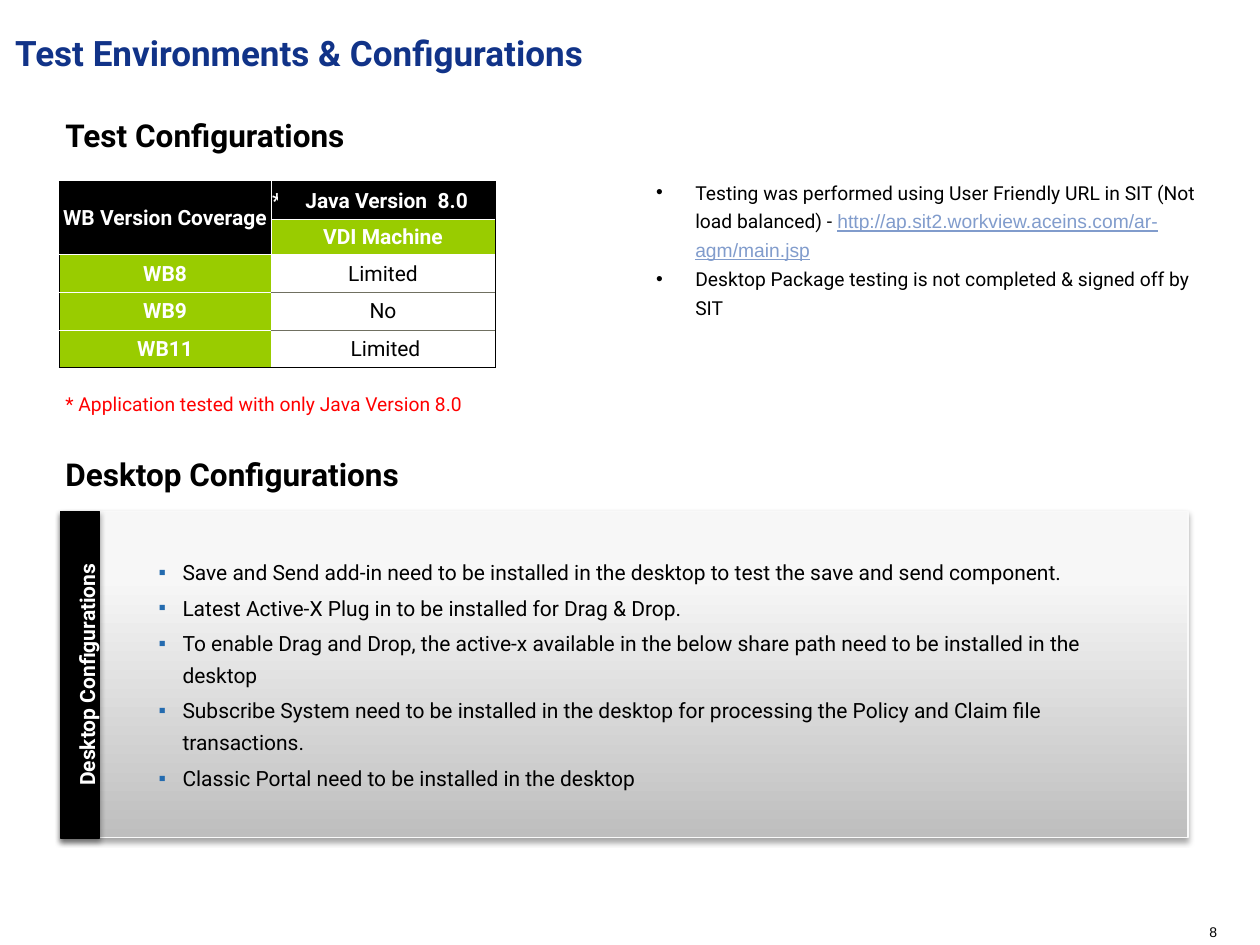
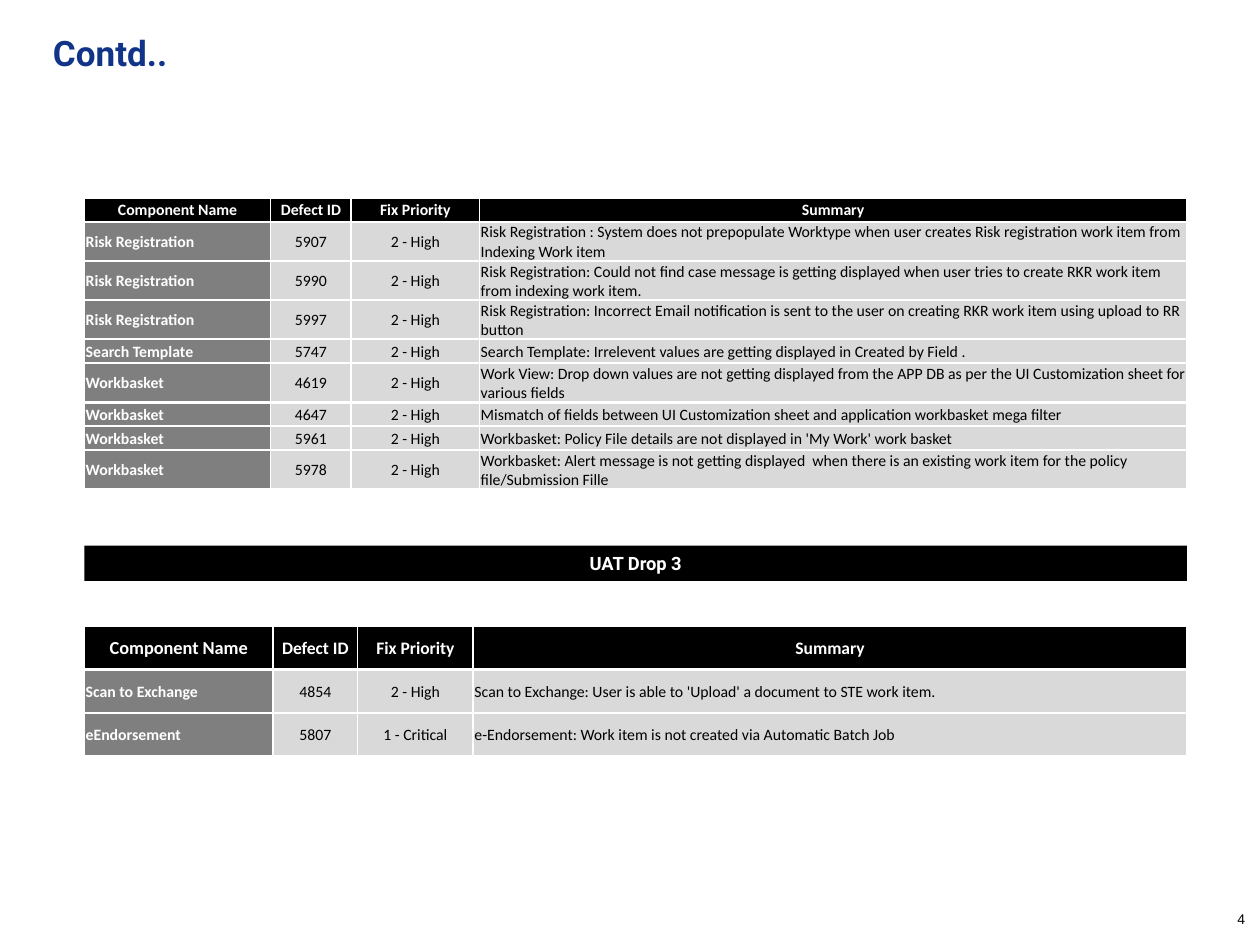
from lxml import etree
from pptx import Presentation
from pptx.dml.color import RGBColor
from pptx.enum.shapes import MSO_SHAPE
from pptx.enum.text import MSO_ANCHOR, MSO_AUTO_SIZE, PP_ALIGN
from pptx.oxml import parse_xml
from pptx.oxml.ns import qn
from pptx.util import Inches, Pt

RECTANGLE = MSO_SHAPE.RECTANGLE
TOP, MIDDLE = MSO_ANCHOR.TOP, MSO_ANCHOR.MIDDLE
LEFT, CENTER = PP_ALIGN.LEFT, PP_ALIGN.CENTER
NO_AUTOFIT = MSO_AUTO_SIZE.NONE
TITLE_ONLY = 5

# Boxes are (left, top, width, height) on a grid of 100 columns by 75 rows.
SLIDE_WIDTH, SLIDE_HEIGHT = Inches(10), Inches(7.5)
COLUMN, ROW = SLIDE_WIDTH / 100, SLIDE_HEIGHT / 75

COLORS = {
    "title": "113388", "black": "000000", "white": "FFFFFF", "green": "99CC00",
    "rule": "707061", "note": "FF0000", "link": "819CCC", "bullet": "246BAF",
    "name": "7F7F7F", "value": "D9D9D9", "panel_edge": "F9F9F9",
}
PANEL_STOPS = [(0, "BEBEBE"), (80, "F7F7F7"), (100, "F8F8F8")]
DRAWING = "http://schemas.openxmlformats.org/drawingml/2006/main"

BROWSER_ROWS = [
    ["WB Version Coverage", "*", "Java Version  8.0"],
    ["", "VDI Machine", ""],
    ["WB8", "Limited", ""],
    ["WB9", "No", ""],
    ["WB11", "\u00a0Limited".replace("\u00a0", " "), ""],
]
TEST_NOTES = [
    [("Testing was performed using User Friendly URL in SIT (Not load balanced) - ", {}),
     ("http://ap.sit2.workview.aceins.com/ar-agm/main.jsp",
      {"font": "Arial", "color": "link", "underline": True})],
    "Desktop Package testing is not completed & signed off by SIT",
]
DESKTOP_NOTES = [
    "Save and Send add-in need to be installed in the desktop to test the save and send component.",
    "Latest Active-X Plug in to be installed for Drag & Drop.",
    "To enable Drag and Drop, the active-x available in the below share path need to be "
    "installed in the desktop",
    "Subscribe System need to be installed in the desktop for processing the Policy and Claim "
    "file transactions.",
    "Classic Portal need to be installed in the desktop",
]
DEFECT_HEADER = ["Component Name", "Defect ID", "Fix Priority", "Summary"]
DROP_2_DEFECTS = [
    ["Risk Registration", "5907", "2 - High",
     "Risk Registration : System does not prepopulate Worktype when user creates Risk "
     "registration work item from Indexing Work item"],
    ["Risk Registration", "5990", "2 - High",
     "Risk Registration: Could not find case message is getting displayed when user tries to "
     "create RKR work item from indexing work item."],
    ["Risk Registration", "5997", "2 - High",
     "Risk Registration: Incorrect Email notification is sent to the user on creating RKR work "
     "item using upload to RR button"],
    ["Search Template", "5747", "2 - High",
     "Search Template: Irrelevent values are getting displayed in Created by Field ."],
    ["Workbasket", "4619", "2 - High",
     "Work View: Drop down values are not getting displayed from the APP DB as per the UI "
     "Customization sheet for various fields"],
    ["Workbasket", "4647", "2 - High",
     "Mismatch of fields between UI Customization sheet and application workbasket mega filter"],
    ["Workbasket", "5961", "2 - High",
     "Workbasket: Policy File details are not displayed in 'My Work' work basket"],
    ["Workbasket", "5978", "2 - High",
     "Workbasket: Alert message is not getting displayed  when there is an existing work item "
     "for the policy file/Submission Fille"],
]
DROP_3_DEFECTS = [
    ["Scan to Exchange", "4854", "2 - High",
     "Scan to Exchange: User is able to 'Upload' a document to STE work item."],
    ["eEndorsement", "5807", "1 - Critical",
     "e-Endorsement: Work item is not created via Automatic Batch Job"],
]


def rgb(name):
    return RGBColor.from_string(COLORS[name])


def to_lengths(box):
    left, top, width, height = box
    return [int(value) for value in (left * COLUMN, top * ROW, width * COLUMN, height * ROW)]


def add_bullet(paragraph, character, color, indent):
    properties = paragraph._p.get_or_add_pPr()
    properties.set("marL", str(Inches(indent)))
    properties.set("indent", str(-Inches(indent)))
    bullet_color = etree.SubElement(properties, qn("a:buClr"))
    etree.SubElement(bullet_color, qn("a:srgbClr"), val=COLORS[color])
    etree.SubElement(properties, qn("a:buFont"), typeface="Arial")
    etree.SubElement(properties, qn("a:buChar"), char=character)


def write_text(frame, paragraphs, *, size, font="Roboto", color="black", bold=False,
               underline=False, align=LEFT, line_spacing=None, space_before=0, bullet=None):
    """Fill a frame; a paragraph is a string or a list of (text, run format) pairs."""
    for index, content in enumerate(paragraphs):
        paragraph = frame.add_paragraph() if index else frame.paragraphs[0]
        paragraph.alignment = align
        if line_spacing:
            paragraph.line_spacing = line_spacing
        if index and space_before:
            paragraph.space_before = Pt(space_before)
        if bullet:
            add_bullet(paragraph, *bullet)
        runs = [(content, {})] if isinstance(content, str) else content
        for text, changes in runs:
            run = paragraph.add_run()
            run.text = text
            run.font.size = Pt(size)
            run.font.bold = bold
            run.font.name = changes.get("font", font)
            run.font.underline = changes.get("underline", underline)
            run.font.color.rgb = rgb(changes.get("color", color))


def add_text(slide, box, paragraphs, **text_format):
    frame = slide.shapes.add_textbox(*to_lengths(box)).text_frame
    frame.word_wrap = True
    write_text(frame, paragraphs, **text_format)


def add_rectangle(slide, box, fill=None, line=None):
    shape = slide.shapes.add_shape(RECTANGLE, *to_lengths(box))
    shape.shadow.inherit = False
    if fill:
        shape.fill.solid()
        shape.fill.fore_color.rgb = rgb(fill)
    if line:
        shape.line.color.rgb = rgb(line)
        shape.line.width = Pt(0.75)
    else:
        shape.line.fill.background()
    return shape


def add_drop_shadow(shape):
    effects = shape._element.spPr.find(qn("a:effectLst"))
    shadow = etree.SubElement(effects, qn("a:outerShdw"), blurRad=str(Pt(3.1)),
                              dist=str(Pt(1.8)), dir="5400000", rotWithShape="0")
    color = etree.SubElement(shadow, qn("a:srgbClr"), val=COLORS["black"])
    etree.SubElement(color, qn("a:alpha"), val="35000")


def fill_with_gradient(shape, stops):
    """Run the stops from the bottom of the shape to its top."""
    listed = "".join(f'<a:gs pos="{position * 1000}"><a:srgbClr val="{color}"/></a:gs>'
                     for position, color in stops)
    gradient = parse_xml(f'<a:gradFill xmlns:a="{DRAWING}" rotWithShape="1">'
                         f'<a:gsLst>{listed}</a:gsLst><a:lin ang="16200000"/></a:gradFill>')
    shape._element.spPr.find(qn("a:prstGeom")).addnext(gradient)


def add_base_slide(presentation, title, title_box, number, number_box):
    slide = presentation.slides.add_slide(presentation.slide_layouts[TITLE_ONLY])
    placeholder = slide.shapes.title
    placeholder.left, placeholder.top, placeholder.width, placeholder.height = to_lengths(title_box)
    frame = placeholder.text_frame
    frame.margin_left = frame.margin_right = frame.margin_top = frame.margin_bottom = 0
    frame.vertical_anchor, frame.auto_size = TOP, NO_AUTOFIT
    write_text(frame, [title], size=20, color="title", bold=True)
    add_text(slide, number_box, [number], size=8, font="Arial")
    return slide


def add_grid(slide, box, column_shares, row_shares):
    left, top, width, height = to_lengths(box)
    table = slide.shapes.add_table(len(row_shares), len(column_shares),
                                   left, top, width, height).table
    table.first_row = table.horz_banding = False
    for column, share in zip(table.columns, column_shares):
        column.width = int(width * share / sum(column_shares))
    for row, share in zip(table.rows, row_shares):
        row.height = int(height * share / sum(row_shares))
    return table


def format_cell(cell, text, fill, borders, **text_format):
    """Borders map a side letter (L, R, T, B) to its colour and width."""
    cell.margin_left = cell.margin_right = cell.margin_top = Inches(0.01)
    cell.margin_bottom = 0
    cell.vertical_anchor = MIDDLE
    properties = cell._tc.get_or_add_tcPr()
    for side in "LRTB":
        color, width = borders[side]
        line = etree.SubElement(properties, qn(f"a:ln{side}"), w=str(Pt(width)))
        line_fill = etree.SubElement(line, qn("a:solidFill"))
        etree.SubElement(line_fill, qn("a:srgbClr"), val=COLORS[color])
    if fill:
        cell.fill.solid()
        cell.fill.fore_color.rgb = rgb(fill)
    else:
        cell.fill.background()
    if text:
        write_text(cell.text_frame, [text], **text_format)


def add_browser_table(slide, box):
    table = add_grid(slide, box, [1.68, 0.05, 1.72], [0.3, 0.28, 0.3, 0.3, 0.3])
    table.cell(0, 0).merge(table.cell(1, 0))
    last = len(BROWSER_ROWS) - 1
    for row, texts in enumerate(BROWSER_ROWS):
        if row:
            table.cell(row, 1).merge(table.cell(row, 2))
        for column, text in enumerate(texts):
            is_result = row > 1 and column > 0
            is_header = row == 0 or (row == 1 and column == 0)
            top = "rule" if is_result and row > 2 else "white"
            bottom = "rule" if is_result else "white"
            borders = {
                "L": ("white" if column == 1 else "black", 0.5),
                "R": ("white" if column == 0 else "black", 0.5),
                "T": ("black" if row == 0 else top, 0.5),
                "B": ("black" if row == last else bottom, 0.5),
            }
            fill = "black" if is_header else None if is_result else "green"
            format_cell(table.cell(row, column), text, fill, borders, size=12, align=CENTER,
                        color="black" if is_result else "white", bold=not is_result)


def add_desktop_panel(slide, box):
    left, top, width, height = box
    panel = add_rectangle(slide, box, line="panel_edge")
    fill_with_gradient(panel, PANEL_STOPS)
    add_drop_shadow(panel)

    thickness = 3.1
    label = add_rectangle(slide, (left + (thickness - height) / 2, top + (height - thickness) / 2,
                                  height, thickness), "black", "black")
    label.rotation = 270
    add_drop_shadow(label)
    frame = label.text_frame
    frame.vertical_anchor = TOP
    frame.margin_top, frame.margin_bottom = Inches(0.08), 0
    write_text(frame, ["Desktop Configurations"], size=12, color="white", bold=True,
               align=CENTER, line_spacing=1.14)

    add_text(slide, (left + 6.8, top + 2.8, width * 0.85, height * 0.78), DESKTOP_NOTES, size=12,
             line_spacing=1.25, space_before=2.4, bullet=("▪", "bullet", 0.19))


def add_defect_table(slide, box, column_shares, row_shares, defects, header_sizes):
    table = add_grid(slide, box, column_shares, row_shares)
    for row, texts in enumerate([DEFECT_HEADER] + defects):
        for column, text in enumerate(texts):
            is_header, is_name = row == 0, column == 0
            borders = {"L": ("white", 1), "R": ("white", 1),
                       "T": ("white", 1 if is_header else 1.5), "B": ("white", 1.5)}
            fill = "black" if is_header else "name" if is_name else "value"
            format_cell(table.cell(row, column), text, fill, borders, font="Calibri",
                        size=header_sizes[column] if is_header else 9,
                        color="white" if is_header or is_name else "black",
                        bold=is_header or is_name,
                        align=CENTER if is_header or column in (1, 2) else LEFT)


def add_banner(slide, box, text):
    frame = add_rectangle(slide, box, "black").text_frame
    frame.vertical_anchor = MIDDLE
    frame.margin_top = frame.margin_bottom = 0
    write_text(frame, [text], size=10.5, color="white", bold=True, align=CENTER)


def build_configurations_slide(presentation):
    slide = add_base_slide(presentation, "Test Environments & Configurations",
                           (1.2, 2.5, 58.2, 2.5), "8", (95, 72.8, 4.4, 2.4))
    for heading, top in (("Test Configurations", 8.7), ("Desktop Configurations", 35.6)):
        add_text(slide, (4.2, top, 44.2, 4), [heading], size=18, bold=True)
    add_browser_table(slide, (4.7, 14.4, 34.5, 14.8))
    add_text(slide, (4.2, 30.4, 75.8, 3.1), ["* Application tested with only Java Version 8.0"],
             size=11, color="note", line_spacing=1.14)
    add_text(slide, (51.1, 13.4, 45.8, 14.9), TEST_NOTES, size=11, line_spacing=1.25,
             bullet=("•", "black", 0.31))
    add_desktop_panel(slide, (4.8, 40.6, 89.5, 25.9))


def build_defects_slide(presentation):
    slide = add_base_slide(presentation, "Contd..", (4.2, 2.5, 68, 5),
                           "4", (97.5, 71.8, 1.7, 2.4))
    left, width = 6.7, 87.5
    two_line_length = 100
    row_shares = [0.19] + [0.31 if len(defect[-1]) > two_line_length else 0.19
                           for defect in DROP_2_DEFECTS]
    add_defect_table(slide, (left, 15.7, width, 23.1), [1.48, 0.64, 1.02, 5.62], row_shares,
                     DROP_2_DEFECTS, [9] * 4)
    add_banner(slide, (left, 43.3, width, 2.8), "UAT Drop 3")
    add_defect_table(slide, (left, 49.7, width, 10.3), [1.5, 0.67, 0.92, 5.67], [1] * 3,
                     DROP_3_DEFECTS, [10.5, 10, 10, 10])


def main():
    presentation = Presentation()
    presentation.slide_width, presentation.slide_height = SLIDE_WIDTH, SLIDE_HEIGHT
    build_configurations_slide(presentation)
    build_defects_slide(presentation)
    presentation.save("out.pptx")


if __name__ == "__main__":
    main()
